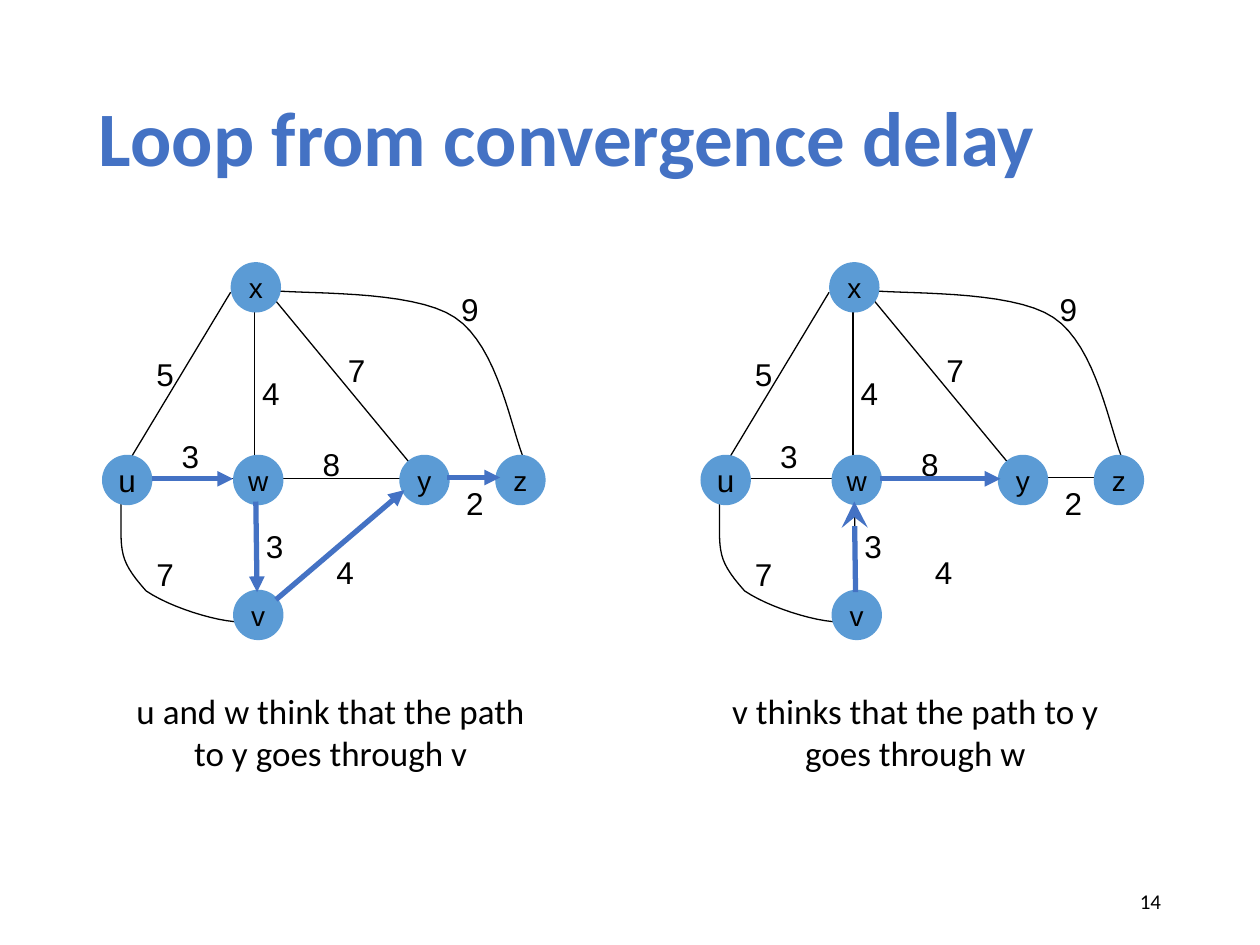
"""Build a slide showing a routing loop caused by convergence delay."""
from lxml.etree import SubElement
from pptx import Presentation
from pptx.dml.color import RGBColor
from pptx.enum.shapes import MSO_CONNECTOR, MSO_SHAPE
from pptx.enum.text import MSO_ANCHOR, PP_ALIGN
from pptx.oxml.ns import qn
from pptx.util import Pt

COLORS = {"ink": "000000", "route": "4472C4", "node": "5B9BD5"}
NODE_SIZE = 28.8
LABEL_SIZE = (24.5, 28.8)
PANEL_SHIFT = 342

NODES = {
    "x": (131.8, 149.8, 16), "u": (58.3, 259.9, 18), "z": (283, 259.9, 16),
    "v": (133.2, 337, 16), "y": (228.2, 259.9, 16), "w": (133.2, 259.9, 16),
}
EDGES = [
    (81.4, 273.6, 139, 273.6), (145.4, 172.8, 145.4, 263.5),
    (131.8, 167, 70.6, 268.6), (146.2, 278.6, 146.9, 344.9),
    (255.6, 272.9, 287.3, 272.9), (151.2, 164.2, 239.8, 271.4),
    (160.6, 273.6, 229.7, 273.6),
]
CURVES = [
    [(69.1, 280.1), (69.8, 314.6), (65.5, 317.5), (83.5, 337.7),
     (101.5, 349.9), (141.8, 360.7), (147.6, 352.8)],
    [(151.2, 165.6), (169.9, 168.5), (235.4, 164.9), (259.9, 181.4),
     (285.1, 198), (292.3, 247), (300.2, 264.2)],
]
COSTS = [
    ("3", 96.5, 246.2), ("4", 142.6, 210.2), ("5", 82.1, 199.4),
    ("3", 144.7, 297.4), ("7", 82.1, 313.9), ("4", 185, 312.5),
    ("8", 177.1, 250.6), ("2", 259.2, 272.9), ("7", 191.5, 197.3),
    ("9", 256.3, 162),
]
ROUTES_VIA_V = [
    ((255.6, 272.9, 285.8, 272.9), "triangle", "med"),
    ((146.2, 286.6, 146.9, 338.4), "triangle", "med"),
    ((87.1, 273.6, 133.2, 273.6), "triangle", "med"),
    ((157.7, 342.7, 231.1, 280.1), "triangle", "med"),
]
ROUTES_VIA_W = [
    ((160.6, 273.6, 229.7, 273.6), "triangle", "med"),
    ((146.9, 338.4, 146.2, 286.6), "stealth", "lg"),
]
PANELS = [
    (0, ROUTES_VIA_V, "u and w think that the path to y goes through v", 66.2),
    (PANEL_SHIFT, ROUTES_VIA_W, "v thinks that the path to y goes through w", 400.3),
]


def rgb(name):
    """Return the named colour."""
    return RGBColor.from_string(COLORS[name])


def write(frame, text, size, font="Arial", color="ink", align=PP_ALIGN.CENTER, bold=False):
    """Put one styled paragraph into a text frame and return it."""
    line = frame.paragraphs[0]
    line.text = text
    line.alignment = align
    line.font.name = font
    line.font.size = Pt(size)
    line.font.bold = bold
    line.font.color.rgb = rgb(color)
    return line


def add_text(shapes, box, text, size, wrap=True, anchor=MSO_ANCHOR.TOP, **style):
    """Add a text box and return its paragraph."""
    frame = shapes.add_textbox(*map(Pt, box)).text_frame
    frame.word_wrap = wrap
    frame.vertical_anchor = anchor
    return write(frame, text, size, **style)


def add_line(shapes, ends, color="ink", width=0.75, arrow=None, arrow_size="med"):
    """Add a straight line, with an arrowhead at its end if one is named."""
    connector = shapes.add_connector(MSO_CONNECTOR.STRAIGHT, *map(Pt, ends))
    connector.line.color.rgb = rgb(color)
    connector.line.width = Pt(width)
    properties = connector._element.spPr
    if arrow:
        SubElement(properties.find(qn("a:ln")), qn("a:tailEnd"),
                   type=arrow, w=arrow_size, len=arrow_size)
    SubElement(properties, qn("a:effectLst"))


def bezier(points, t):
    """Return the point at t on a cubic curve."""
    weights = ((1 - t) ** 3, 3 * t * (1 - t) ** 2, 3 * t * t * (1 - t), t ** 3)
    return tuple(sum(w * p[axis] for w, p in zip(weights, points)) for axis in (0, 1))


def add_curve(shapes, controls, shift, steps=16):
    """Add an open outline through consecutive cubic segments."""
    track = [controls[0]]
    for first in range(0, len(controls) - 1, 3):
        segment = controls[first:first + 4]
        track += [bezier(segment, step / steps) for step in range(1, steps + 1)]
    track = [(Pt(x + shift), Pt(y)) for x, y in track]
    builder = shapes.build_freeform(*track[0])
    builder.add_line_segments(track[1:], close=False)
    curve = builder.convert_to_shape()
    curve.fill.background()
    curve.line.color.rgb = rgb("ink")
    curve.line.width = Pt(0.75)
    curve.shadow.inherit = False


def add_node(shapes, name, left, top, size):
    """Add a router as a labelled circle."""
    node = shapes.add_shape(MSO_SHAPE.OVAL, Pt(left), Pt(top), Pt(NODE_SIZE), Pt(NODE_SIZE))
    node.fill.solid()
    node.fill.fore_color.rgb = rgb("node")
    node.line.fill.background()
    node.shadow.inherit = False
    node.text_frame.word_wrap = False
    node.text_frame.vertical_anchor = MSO_ANCHOR.MIDDLE
    write(node.text_frame, name, size)


def add_network(shapes, shift, routes):
    """Add the weighted network with its chosen routes."""
    def moved(ends):
        return ends[0] + shift, ends[1], ends[2] + shift, ends[3]

    for ends in EDGES:
        add_line(shapes, moved(ends))
    for controls in CURVES:
        add_curve(shapes, controls, shift)
    for cost, left, top in COSTS:
        add_text(shapes, (left + shift, top, *LABEL_SIZE), cost, 18, wrap=False)
    for name, (left, top, size) in NODES.items():
        add_node(shapes, name, left + shift, top, size)
    for ends, arrow, arrow_size in routes:
        add_line(shapes, moved(ends), "route", 3, arrow, arrow_size)


def main():
    """Assemble and save the slide."""
    deck = Presentation()
    deck.slide_width, deck.slide_height = Pt(720), Pt(540)
    shapes = deck.slides.add_slide(deck.slide_layouts[6]).shapes
    title = add_text(shapes, (49.5, 28.8, 621, 104.4), "Loop from convergence delay", 44,
                     anchor=MSO_ANCHOR.MIDDLE, font="Calibri", color="route",
                     align=PP_ALIGN.LEFT, bold=True)
    title.line_spacing = 0.9
    add_text(shapes, (508.5, 500.5, 162, 28.8), "14", 12, anchor=MSO_ANCHOR.MIDDLE,
             font="Calibri", align=PP_ALIGN.RIGHT)
    for shift, routes, caption, caption_left in PANELS:
        add_network(shapes.add_group_shape().shapes, shift, routes)
        add_text(shapes, (caption_left, 390.2, 245.5, 55.4), caption, 20, font="Calibri")
    deck.save("out.pptx")


if __name__ == "__main__":
    main()
